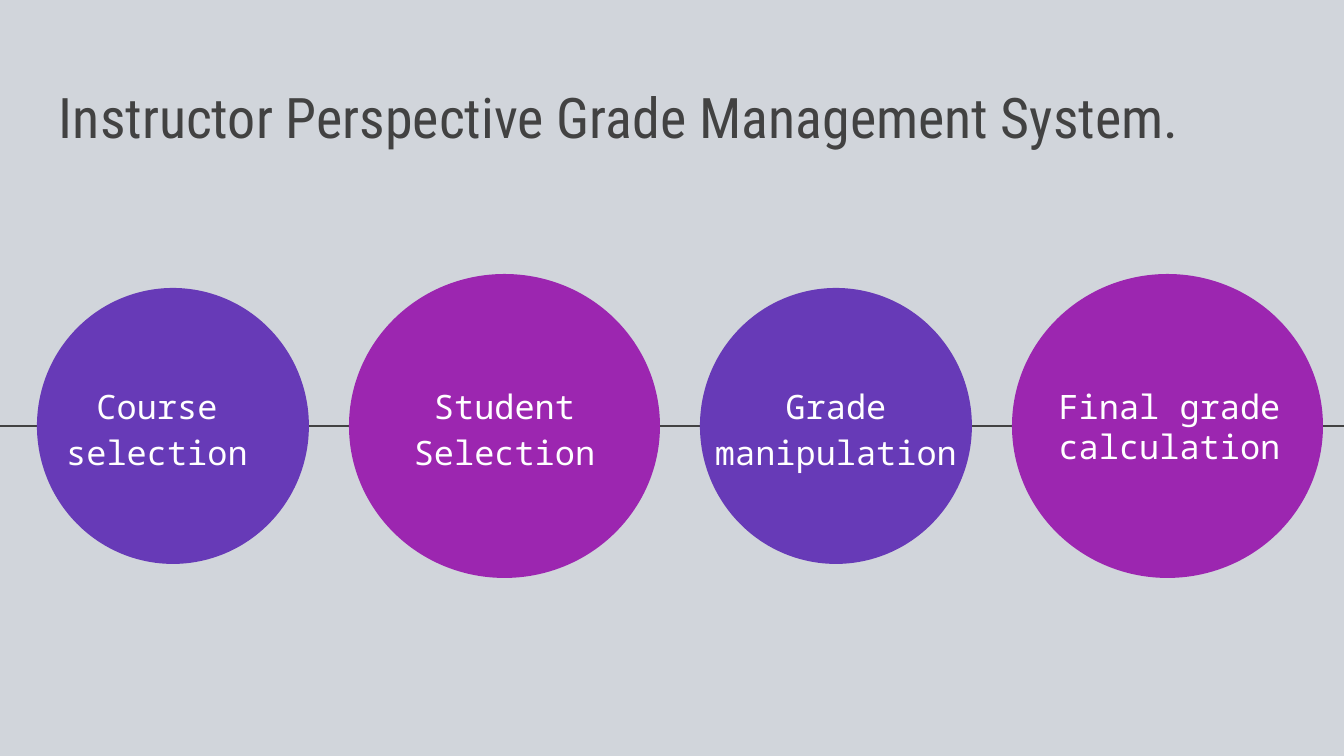
from lxml.etree import SubElement
from pptx import Presentation
from pptx.dml.color import RGBColor
from pptx.enum.shapes import MSO_CONNECTOR as Connector, MSO_SHAPE as Shape
from pptx.enum.text import MSO_ANCHOR as Anchor, PP_ALIGN as Align
from pptx.oxml.ns import qn
from pptx.util import Pt

WIDTH, HEIGHT = 1344, 756
AXIS = 426
GAP = 40
INSET = 13
GREY = "424242"
SMALL = {"size": (272, 276), "color": "673AB7"}
LARGE = {"size": (311, 304), "color": "9C26B0"}
LOOSE = {"line_spacing": 1.15, "space_after": Pt(16)}
STEPS = [
    ("Course selection", SMALL, (46, 222, 89), LOOSE),
    ("Student Selection", LARGE, (378, 253, 185), LOOSE),
    ("Grade manipulation", SMALL, (700, 272, 89), LOOSE),
    ("Final grade calculation", LARGE, (1043, 253, 151), {}),
]


def px(length):
    """Turn pixels into EMU."""
    return round(length * 914400 / 134.4)


def rgb(color):
    """Turn a hex string into a colour."""
    return RGBColor.from_string(color)


def set_values(target, values):
    """Set each named attribute of the target."""
    for name, value in values.items():
        setattr(target, name, value)


def add_timeline(slide):
    """Draw the line that runs behind the circles."""
    line = slide.shapes.add_connector(
        Connector.STRAIGHT, px(-1), px(AXIS), px(WIDTH), px(AXIS))
    line.line.color.rgb = rgb(GREY)
    line.line.width = Pt(1.5)
    SubElement(line._element.spPr, qn("a:effectLst"))


def add_circle(slide, left, size, color):
    """Draw a plain circle centred on the timeline."""
    width, height = size
    circle = slide.shapes.add_shape(
        Shape.OVAL, px(left), px(AXIS - height / 2), px(width), px(height))
    circle.shadow.inherit = False
    circle.fill.solid()
    circle.fill.fore_color.rgb = rgb(color)
    circle.line.fill.background()


def add_text(slide, text, box, font, color, anchor, layout):
    """Add a wrapped text box with one paragraph."""
    shape = slide.shapes.add_textbox(*map(px, box))
    frame = shape.text_frame
    set_values(frame, {"word_wrap": True, "vertical_anchor": anchor})
    for side in ("left", "top", "right", "bottom"):
        setattr(frame, f"margin_{side}", px(INSET))
    paragraph = frame.paragraphs[0]
    set_values(paragraph, layout)
    run = paragraph.add_run()
    run.text = text
    set_values(run.font, font)
    run.font.color.rgb = rgb(color)


def add_steps(slide):
    """Place the labelled circles from left to right at equal gaps."""
    font = {"name": "Noto Sans Mono", "size": Pt(18)}
    circle_left = 37
    for text, circle, (left, width, height), spacing in STEPS:
        add_circle(slide, circle_left, **circle)
        box = (left, AXIS - height / 2, width, height)
        add_text(slide, text, box, font, "FFFFFF", Anchor.MIDDLE,
                 {"alignment": Align.CENTER, **spacing})
        circle_left += circle["size"][0] + GAP


def main():
    """Build and save the slide."""
    presentation = Presentation()
    set_values(presentation, {"slide_width": px(WIDTH), "slide_height": px(HEIGHT)})
    slide = presentation.slides.add_slide(presentation.slide_layouts[6])
    slide.background.fill.solid()
    slide.background.fill.fore_color.rgb = rgb("D1D5DB")
    add_timeline(slide)
    add_text(slide, "Instructor Perspective Grade Management System.",
             (46, 55, 1252, 108), {"name": "Roboto Condensed", "size": Pt(30)},
             GREY, Anchor.BOTTOM, {"alignment": Align.LEFT})
    add_steps(slide)
    presentation.save("out.pptx")


if __name__ == "__main__":
    main()
